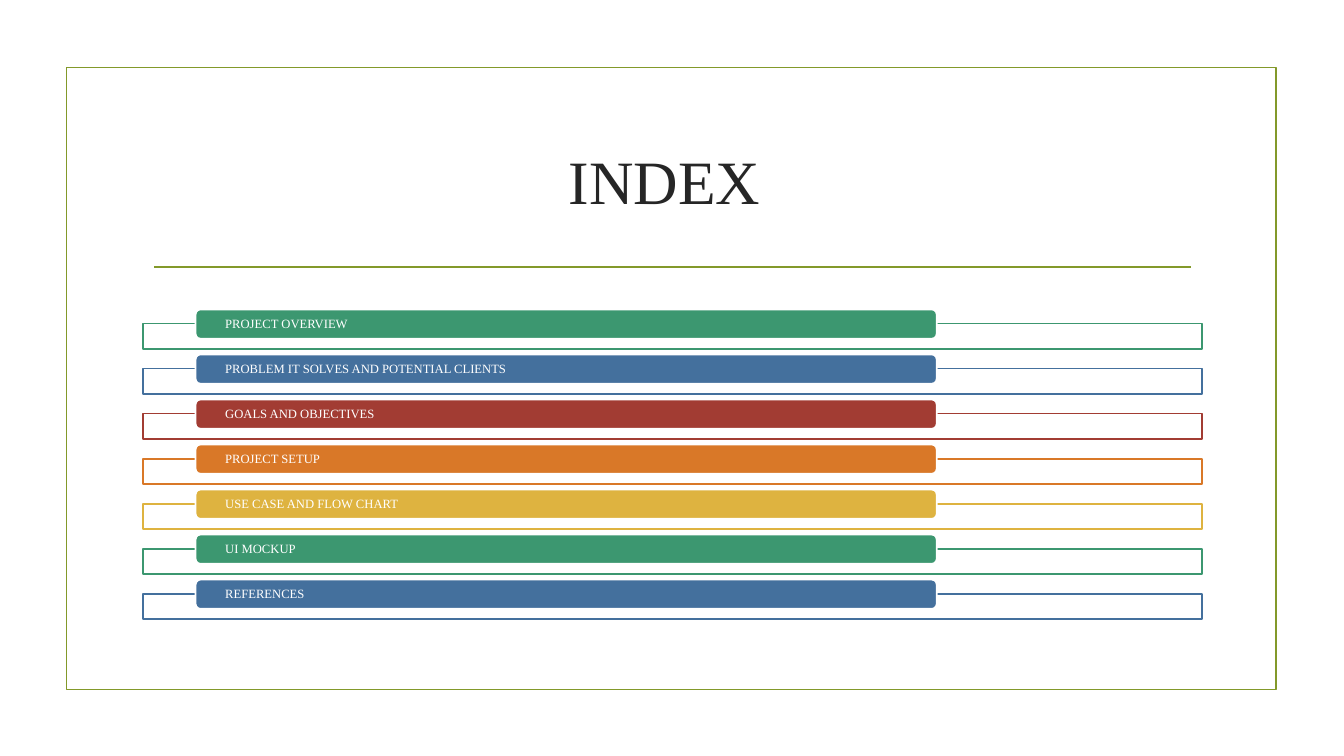
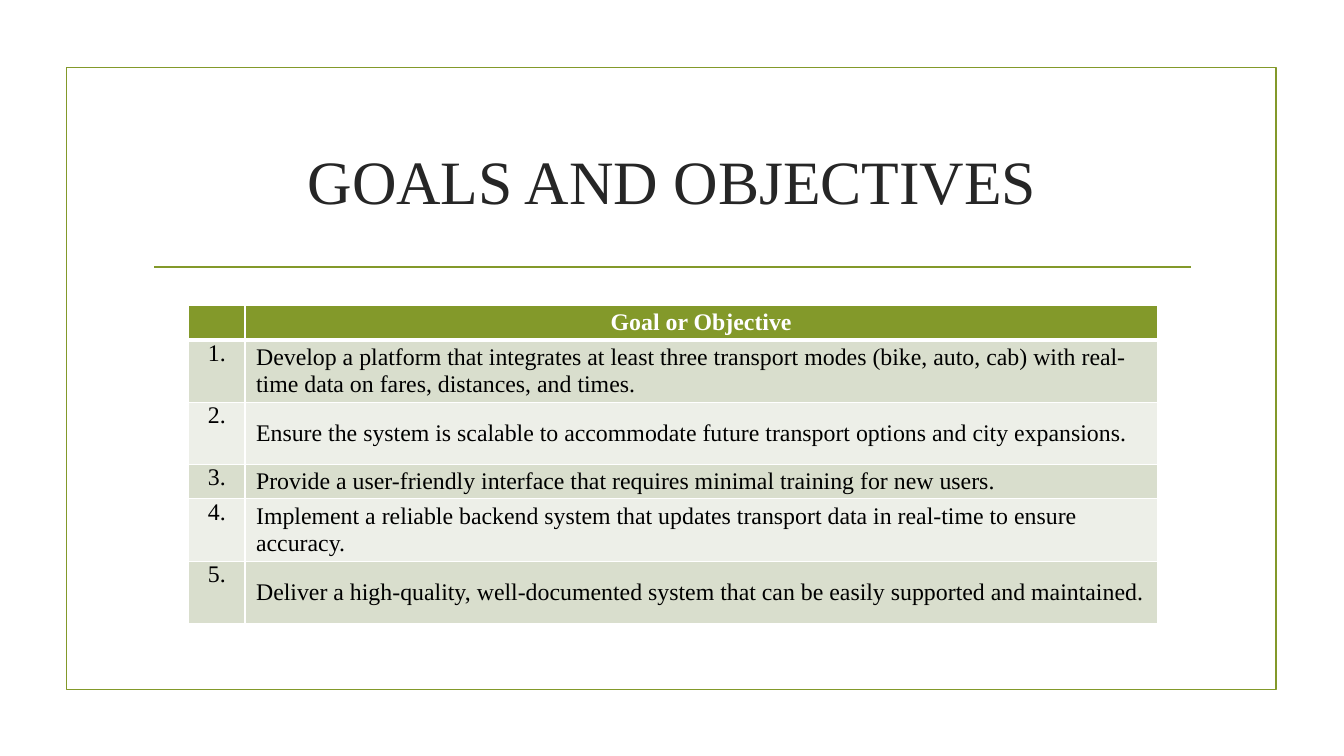
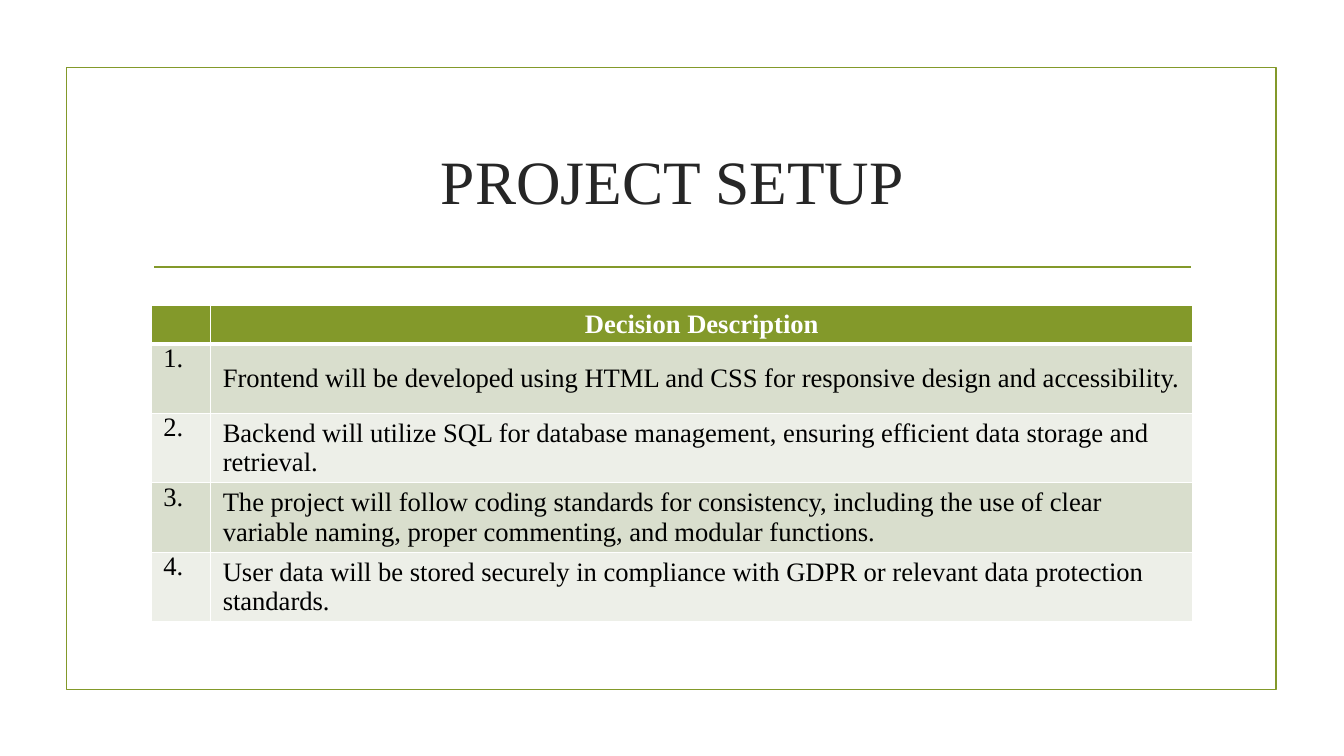
from dataclasses import dataclass

import pptx
import pptx.dml.color
import pptx.enum.shapes
import pptx.enum.text
import pptx.oxml
import pptx.oxml.ns
import pptx.util
from pptx.util import Inches

FONT = "Times New Roman"
COLORS = {
    "olive": "83992A", "title": "262626", "text": "000000", "white": "FFFFFF",
    "odd": "D9DECD", "even": "EDEFE8",
    "green": "3C9770", "blue": "44709D", "red": "A23C33",
    "orange": "D97828", "yellow": "DEB340",
}
SHAPE = pptx.enum.shapes.MSO_SHAPE
MIDDLE = pptx.enum.text.MSO_ANCHOR.MIDDLE
TOP = pptx.enum.text.MSO_ANCHOR.TOP
LEFT = pptx.enum.text.PP_ALIGN.LEFT
CENTER = pptx.enum.text.PP_ALIGN.CENTER
LINE_WIDTH = 1.25


@dataclass
class IndexEntry:
    text: str
    color: str


@dataclass
class NumberedTable:
    left: float
    columns: tuple[float, float]
    header_height: float
    row_heights: list[float]
    size: int
    inset: float
    number_align: pptx.enum.text.PP_ALIGN
    header: str
    rows: list[str]


INDEX = [
    IndexEntry("PROJECT OVERVIEW", "green"),
    IndexEntry("PROBLEM IT SOLVES AND POTENTIAL CLIENTS", "blue"),
    IndexEntry("GOALS AND OBJECTIVES", "red"),
    IndexEntry("PROJECT SETUP", "orange"),
    IndexEntry("USE CASE AND FLOW CHART", "yellow"),
    IndexEntry("UI MOCKUP", "green"),
    IndexEntry("REFERENCES", "blue"),
]
GOALS = NumberedTable(
    1.87, (0.56, 9.05), 0.34, [0.62, 0.62, 0.34, 0.62, 0.62], 17, 0.11, CENTER,
    "Goal or Objective",
    [
        "Develop a platform that integrates at least three transport modes "
        "(bike, auto, cab) with real-time data on fares, distances, and times.",
        "Ensure the system is scalable to accommodate future transport options "
        "and city expansions.",
        "Provide a user-friendly interface that requires minimal training for new users.",
        "Implement a reliable backend system that updates transport data in "
        "real-time to ensure accuracy.",
        "Deliver a high-quality, well-documented system that can be easily "
        "supported and maintained.",
    ],
)
SETUP = NumberedTable(
    1.5, (0.59, 9.74), 0.38, [0.69] * 4, 19, 0.12, LEFT,
    "Decision Description",
    [
        "Frontend will be developed using HTML and CSS for responsive design "
        "and accessibility.",
        "Backend will utilize SQL for database management, ensuring efficient "
        "data storage and retrieval.",
        "The project will follow coding standards for consistency, including the "
        "use of clear variable naming, proper commenting, and modular functions.",
        "User data will be stored securely in compliance with GDPR or relevant "
        "data protection standards.",
    ],
)


def rgb(name: str) -> pptx.dml.color.RGBColor:
    return pptx.dml.color.RGBColor.from_string(COLORS[name])


def set_text(tf, text: str, size: float, color: str, align=LEFT, bold=False):
    p = tf.paragraphs[0]
    p.text = text
    p.alignment = align
    p.font.name = FONT
    p.font.size = pptx.util.Pt(size)
    p.font.bold = bold
    p.font.color.rgb = rgb(color)
    return p


def add_box(s, kind, left: float, top: float, width: float, height: float,
            line: str, fill: str = ""):
    sp = s.shapes.add_shape(kind, Inches(left), Inches(top), Inches(width), Inches(height))
    sp.shadow.inherit = False
    if fill:
        sp.fill.solid()
        sp.fill.fore_color.rgb = rgb(fill)
    else:
        sp.fill.background()
    sp.line.color.rgb = rgb(line)
    sp.line.width = pptx.util.Pt(LINE_WIDTH)
    return sp


def add_titled_slide(prs, title: str):
    """Add a slide with the olive frame, the title and the rule below it."""
    s = prs.slides.add_slide(prs.slide_layouts[6])
    add_box(s, SHAPE.RECTANGLE, 0.66, 0.67, 12, 6.17, "olive")
    rule = s.shapes.add_connector(
        pptx.enum.shapes.MSO_CONNECTOR.STRAIGHT,
        Inches(1.53), Inches(2.65), Inches(11.81), Inches(2.65))
    rule.line.color.rgb = rgb("olive")
    rule.line.width = pptx.util.Pt(LINE_WIDTH)
    pptx.oxml.ns.qn("a:effectLst")
    rule._element.spPr.append(pptx.oxml.parse_xml(
        f'<a:effectLst {pptx.oxml.ns.nsdecls("a")}/>'))
    tf = s.shapes.add_textbox(Inches(1.42), Inches(1.07), Inches(10.5), Inches(1.43)).text_frame
    tf.word_wrap = True
    tf.vertical_anchor = MIDDLE
    set_text(tf, title, 44, "title", CENTER)
    return s


def add_index(s, entries: list[IndexEntry]) -> None:
    first, last = 3.07, 5.75
    pitch = (last - first) / (len(entries) - 1)
    for i, entry in enumerate(entries):
        top = first + i * pitch
        add_box(s, SHAPE.RECTANGLE, 1.42, top + 0.14, 10.5, 0.25, entry.color, "white")
        bar = add_box(s, SHAPE.ROUNDED_RECTANGLE, 1.94, top, 7.35, 0.29, "white", entry.color)
        tf = bar.text_frame
        tf.vertical_anchor = MIDDLE
        tf.margin_left = tf.margin_right = Inches(0.28)
        tf.margin_top = tf.margin_bottom = 0
        set_text(tf, entry.text, 9, "white").line_spacing = 0.9


def set_borders(cell, top: float, bottom: float) -> None:
    """Draw white borders, with the given widths in points above and below."""
    tcPr = cell._tc.get_or_add_tcPr()
    widths = {"lnL": 1, "lnR": 1, "lnT": top, "lnB": bottom}
    for i, (tag, width) in enumerate(widths.items()):
        tcPr.insert(i, pptx.oxml.parse_xml(
            f'<a:{tag} {pptx.oxml.ns.nsdecls("a")} w="{pptx.util.Pt(width)}"><a:solidFill>'
            f'<a:srgbClr val="{COLORS["white"]}"/></a:solidFill></a:{tag}>'))


def add_numbered_table(s, spec: NumberedTable) -> None:
    heights = [spec.header_height, *spec.row_heights]
    table = s.shapes.add_table(
        len(heights), 2, Inches(spec.left), Inches(3.03),
        Inches(sum(spec.columns)), Inches(sum(heights))).table
    for column, width in zip(table.columns, spec.columns):
        column.width = Inches(width)
    for row, height in zip(table.rows, heights):
        row.height = Inches(height)
    texts = [("", spec.header)] + [(f"{n}.", t) for n, t in enumerate(spec.rows, 1)]
    for i, pair in enumerate(texts):
        header = i == 0
        fill = "olive" if header else "odd" if i % 2 else "even"
        for j, text in enumerate(pair):
            cell = table.cell(i, j)
            cell.fill.solid()
            cell.fill.fore_color.rgb = rgb(fill)
            set_borders(cell, 3 if i == 1 else 1, 3 if header else 1)
            cell.margin_left = cell.margin_right = Inches(spec.inset)
            cell.margin_top = cell.margin_bottom = 0
            cell.vertical_anchor = MIDDLE if j else TOP
            align = CENTER if header else LEFT if j else spec.number_align
            p = set_text(cell.text_frame, text, spec.size,
                         "white" if header else "text", align, header)
            p.space_before = p.space_after = pptx.util.Pt(1)


def main() -> None:
    prs = pptx.Presentation()
    prs.slide_width, prs.slide_height = Inches(13.33), Inches(7.5)
    add_index(add_titled_slide(prs, "INDEX "), INDEX)
    add_numbered_table(add_titled_slide(prs, "GOALS AND OBJECTIVES"), GOALS)
    add_numbered_table(add_titled_slide(prs, "PROJECT SETUP"), SETUP)
    prs.save("out.pptx")


if __name__ == "__main__":
    main()
